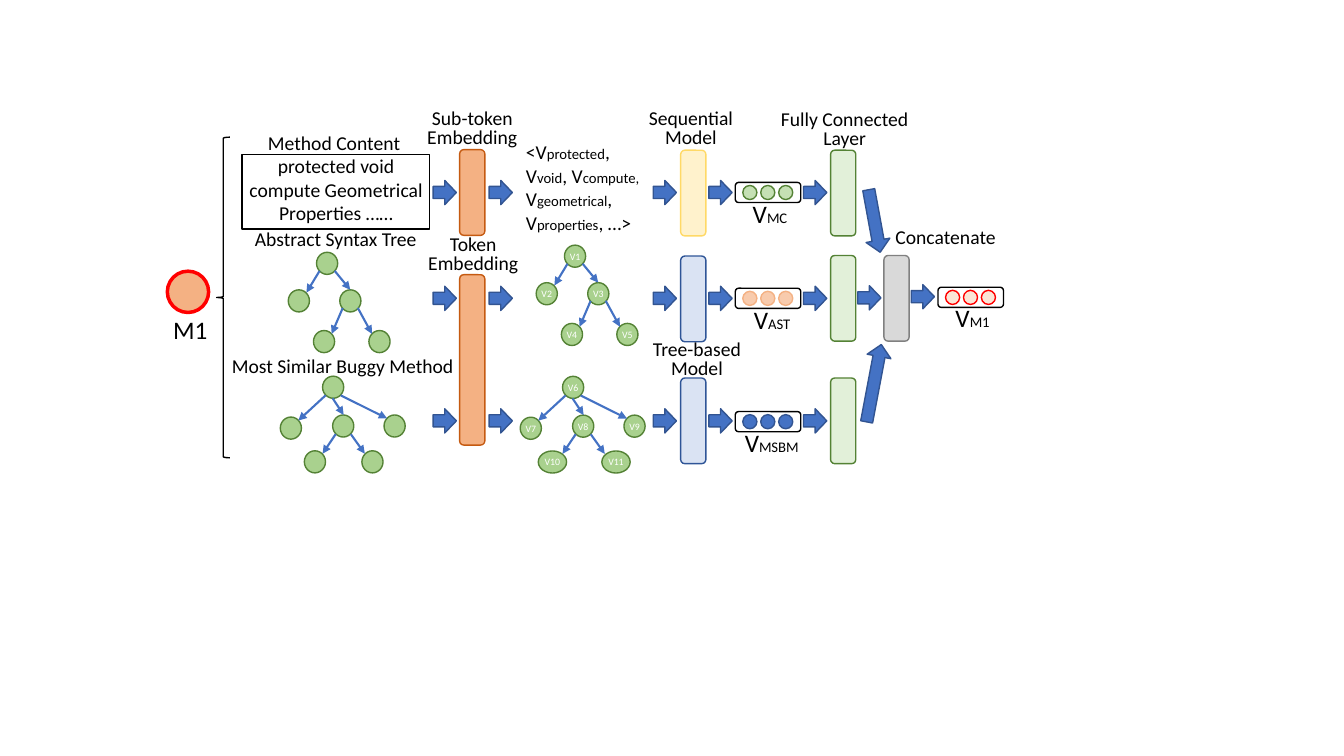
from lxml import etree
from pptx import Presentation
from pptx.dml.color import RGBColor
from pptx.enum.shapes import MSO_CONNECTOR, MSO_SHAPE
from pptx.enum.text import MSO_ANCHOR, PP_ALIGN
from pptx.oxml.ns import qn
from pptx.util import Pt

OVAL, RECT, ROUNDED = MSO_SHAPE.OVAL, MSO_SHAPE.RECTANGLE, MSO_SHAPE.ROUNDED_RECTANGLE
ARROW, BRACE = MSO_SHAPE.RIGHT_ARROW, MSO_SHAPE.LEFT_BRACE
LEFT, CENTER = PP_ALIGN.LEFT, PP_ALIGN.CENTER
MIDDLE = MSO_ANCHOR.MIDDLE
STRAIGHT = MSO_CONNECTOR.STRAIGHT

BLACK, WHITE, RED = "000000", "FFFFFF", "FF0000"
BLUE, DARK_BLUE = "4472C4", "325491"
NODE_GREEN, DARK_GREEN, ORANGE = "A9D18E", "548235", "F4B183"
NODE_W, NODE_H = 15.1, 15.8

deck = Presentation()
deck.slide_width, deck.slide_height = Pt(960), Pt(540)
slide = deck.slides.add_slide(deck.slide_layouts[6])
shapes = slide.shapes


def add_figure(kind, left, top, width, height, fill, line, weight=1):
    figure = shapes.add_shape(kind, Pt(left), Pt(top), Pt(width), Pt(height))
    figure.shadow.inherit = False
    if fill:
        figure.fill.solid()
        figure.fill.fore_color.rgb = RGBColor.from_string(fill)
    else:
        figure.fill.background()
    figure.line.color.rgb = RGBColor.from_string(line)
    figure.line.width = Pt(weight)
    return figure


def write(frame, runs, align, color=BLACK, spacing=None):
    """Fill a text frame with one paragraph of (text, size) runs."""
    frame.word_wrap = True
    paragraph = frame.paragraphs[0]
    paragraph.alignment = align
    paragraph.line_spacing = spacing
    for text, size in runs:
        run = paragraph.add_run()
        run.text = text
        for name, value in {"name": "Calibri", "size": Pt(size)}.items():
            setattr(run.font, name, value)
        run.font.color.rgb = RGBColor.from_string(color)


# Method and its three sources
add_figure(OVAL, 119.5, 193.7, 29.5, 29.5, ORANGE, RED, 2.5)
add_figure(BRACE, 154.8, 98, 9.4, 229, None, BLACK)
add_figure(RECT, 172.8, 110.2, 134, 53.3, None, BLACK)

# Trees: node (dx, dy), edges, and labelled ovals (label, dx, width)
ast_nodes = [(0, 0), (-20.2, 26.8), (16.6, 26.8), (37.4, 55.9), (-2.2, 55.9)]
ast_edges = [(2.2, 13.3, -7.2, 28.8), (13, 13.3, 24.1, 26.8),
             (29.5, 39.8, 39.6, 58.3), (18.7, 39.8, 10.8, 58.3)]
ast_labels = ["V1", "V2", "V3", "V5", "V4"]
buggy_nodes = [(0, 0), (-30.2, 29.2), (7.2, 27.7), (43.9, 27.7), (28.1, 53.3), (-13, 53.3)]
buggy_edges = [(2.2, 13.7, -17.3, 31.7), (7.2, 15.8, 15.1, 27.7), (13, 13.7, 46.1, 30.2),
               (20.2, 41.4, 30.2, 55.4), (9.4, 41.4, 0, 55.4)]
buggy_labels = ["V6", "V7", "V8", "V9", "V11", "V10"]
embedded_buggy_nodes = buggy_nodes[:-1] + [(-17.3, 53.3)]

for root_x, root_y, nodes, edges, labels in [
    (226.1, 180.2, ast_nodes, ast_edges, [""] * 5),
    (230.4, 268.7, buggy_nodes, buggy_edges, [""] * 6),
    (403.2, 175.1, ast_nodes, ast_edges, ast_labels),
    (401.8, 268.8, embedded_buggy_nodes, buggy_edges, buggy_labels),
]:
    for (dx, dy), label in zip(nodes, labels):
        width = 20.2 if len(label) == 3 else NODE_W
        node = add_figure(OVAL, root_x + dx, root_y + dy, width, NODE_H, NODE_GREEN, DARK_GREEN)
        if label:
            frame = node.text_frame
            for side in ("left", "right", "top", "bottom"):
                setattr(frame, f"margin_{side}", Pt(1.44))
            frame.vertical_anchor = MIDDLE
            write(frame, [(label, 7)], CENTER, WHITE)
    for x1, y1, x2, y2 in edges:
        edge = shapes.add_connector(STRAIGHT, Pt(root_x + x1), Pt(root_y + y1),
                                    Pt(root_x + x2), Pt(root_y + y2))
        edge.line.color.rgb = RGBColor.from_string(BLUE)
        edge.line.width = Pt(1.5)
        etree.SubElement(edge.line._get_or_add_ln(), qn("a:tailEnd"), type="triangle")
        etree.SubElement(edge._element.spPr, qn("a:effectLst"))

# Embedding, model, fully connected and concatenation layers
for left, top, height, fill, line in [
    (328.3, 106.9, 61.2, ORANGE, "C55A11"),
    (328.3, 196.2, 121.7, ORANGE, "C55A11"),
    (486.2, 107.3, 61.2, "FFF2CC", "FFD966"),
    (486.2, 182.9, 61.2, "DAE3F3", "2F5597"),
    (486.2, 270, 61.2, "DAE3F3", "2F5597"),
    (593.3, 107.3, 61.2, "E2F0D9", DARK_GREEN),
    (593.3, 182.5, 61.2, "E2F0D9", DARK_GREEN),
    (593.3, 270, 61.2, "E2F0D9", DARK_GREEN),
    (631.4, 182.5, 61.2, "D9D9D9", "808080"),
]:
    add_figure(ROUNDED, left, top, 18, height, fill, line)

# Vectors of three dots
for left, top, fill, line in [
    (525.2, 130.3, "C5E0B4", DARK_GREEN),
    (525.2, 205.9, "F8CBAD", ORANGE),
    (525.2, 294, BLUE, DARK_BLUE),
    (670, 205.2, "FBE5D6", RED),
]:
    add_figure(ROUNDED, left, top, 46.8, 14.4, None, BLACK)
    for dot in range(3):
        add_figure(OVAL, left + 5.4 + 12.8 * dot, top + 2.2, 10.1, 10.1, fill, line)

# Flow arrows: five columns in three rows, then those around the concatenation
flow = [(left, top, 16.6, 0)
        for left in (309.4, 349.4, 466.6, 506.4, 574)
        for top in (128.9, 204.5, 292)]
flow += [(601.9, 149.2, 45.4, 79.6), (612.7, 204.1, 16.6, 0),
         (596.2, 265.1, 56.2, 280.7), (650.9, 203.3, 16.6, 0)]
for left, top, width, angle in flow:
    add_figure(ARROW, left, top, width, 17.3, BLUE, DARK_BLUE).rotation = angle

# Captions
token_runs = [("<V", 14), ("protected", 10.5), (", V", 14), ("void", 10.5), (", V", 14),
              ("compute, ", 10.5), ("V", 14), ("geometrical", 10.5), (", V", 14),
              ("properties", 10.5), (", …>", 14)]
for left, top, width, height, runs, align, spacing in [
    (155.5, 249.1, 178.6, 24.5, [("Most Similar Buggy Method", 14)], CENTER, None),
    (168.5, 158.4, 142.6, 24.5, [("Abstract Syntax Tree", 14)], CENTER, None),
    (184.3, 90, 139, 24.5, [("Method Content", 14)], LEFT, None),
    (165.6, 106.6, 149, 58.3,
     [("protected void compute Geometrical Properties ……", 14)], CENTER, None),
    (368.6, 96.5, 97.2, 74.9, token_runs, LEFT, None),
    (530.6, 138.2, 58.3, 28.8, [("V", 18), ("MC", 10.5)], LEFT, None),
    (531.4, 213.8, 58.3, 28.8, [("V", 18), ("AST", 10.5)], LEFT, None),
    (524.9, 301.7, 58.3, 28.8, [("V", 18), ("MSBM", 10.5)], LEFT, None),
    (675.4, 212.4, 58.3, 28.8, [("V", 18), ("M1", 10.5)], LEFT, None),
    (116.6, 221, 58.3, 28.8, [("M1", 18)], LEFT, None),
    (286.6, 75.6, 101.5, 34.6, [("Sub-token Embedding", 14)], CENTER, 0.8),
    (287.3, 165.6, 101.5, 34.6, [("Token Embedding", 14)], CENTER, 0.8),
    (442.8, 75.6, 101.5, 34.6, [("Sequential Model", 14)], CENTER, 0.8),
    (447.1, 240.5, 101.5, 34.6, [("Tree-based Model", 14)], CENTER, 0.8),
    (547.9, 76.3, 110.9, 34.6, [("Fully Connected Layer", 14)], CENTER, 0.8),
    (629.3, 160.6, 92.2, 20.9, [("Concatenate", 14)], CENTER, 0.8),
]:
    caption = shapes.add_textbox(Pt(left), Pt(top), Pt(width), Pt(height))
    write(caption.text_frame, runs, align, spacing=spacing)

deck.save("out.pptx")
